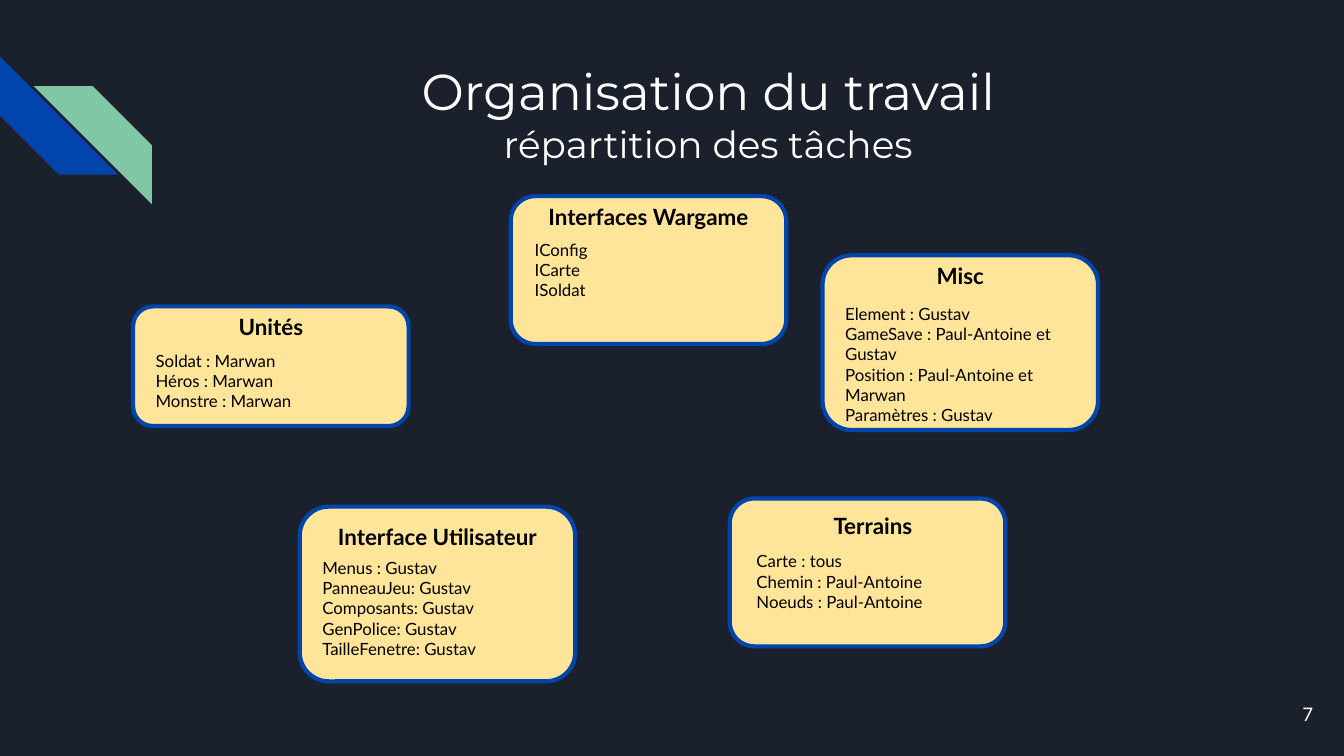
"""Build the slide that shares out the project's work in five cards."""
from dataclasses import dataclass

import pptx
import pptx.dml.color
import pptx.enum.shapes
import pptx.enum.text
import pptx.util

SHAPE = pptx.enum.shapes.MSO_SHAPE
ALIGN = pptx.enum.text.PP_ALIGN
ANCHOR = pptx.enum.text.MSO_ANCHOR


@dataclass(frozen=True)
class Theme:
    background: str = "1B212C"
    blue: str = "0145AC"
    green: str = "82C7A5"
    card: str = "FFE599"
    light: str = "FFFFFF"
    dark: str = "000000"
    title_font: str = "Montserrat"
    body_font: str = "Lato"
    title_size: float = 27
    subtitle_size: float = 20
    heading_size: float = 12
    list_size: float = 9
    number_size: float = 10
    outline: float = 2.25


@dataclass(frozen=True)
class Box:
    col: float
    row: float
    cols: float
    rows: float


@dataclass(frozen=True)
class Style:
    font: str
    size: float
    color: str
    bold: bool = False
    align: ALIGN = ALIGN.LEFT


@dataclass(frozen=True)
class Card:
    heading: str
    lines: tuple[str, ...]
    col: float
    row: float
    rows: float
    heading_drop: float = -0.5
    heading_shift: float = 0
    list_drop: float = 2.3
    list_indent: float = 0.7
    list_cols: float = 19.2


THEME = Theme()
WIDTH, HEIGHT = pptx.util.Inches(10), pptx.util.Inches(5.625)
COLUMNS = 100
CELL = WIDTH / COLUMNS
CARD_COLS, HEADING_COLS, HEADING_ROWS = 20.5, 24.5, 3
STRIPE = 8.8

TITLE = Style(THEME.title_font, THEME.title_size, THEME.light, align=ALIGN.CENTER)
SUBTITLE = Style(THEME.title_font, THEME.subtitle_size, THEME.light, align=ALIGN.CENTER)
HEADING = Style(THEME.body_font, THEME.heading_size, THEME.dark, True, ALIGN.CENTER)
LIST = Style(THEME.body_font, THEME.list_size, THEME.dark)
NUMBER = Style(THEME.body_font, THEME.number_size, THEME.light, align=ALIGN.RIGHT)

CARDS = (
    Card("Misc", ("Element : Gustav", "GameSave : Paul-Antoine et Gustav",
                  "Position : Paul-Antoine et Marwan", "Paramètres : Gustav"),
         61.2, 19, 13, list_drop=2.6, list_cols=20.5),
    Card("Interface Utilisateur",
         ("Menus : Gustav", "PanneauJeu: Gustav", "Composants: Gustav",
          "GenPolice: Gustav", "TailleFenetre: Gustav"),
         22.3, 37.7, 13, heading_drop=0.2, list_drop=2.8),
    Card("Terrains", ("Carte : tous", "Chemin : Paul-Antoine", "Noeuds : Paul-Antoine"),
         54.3, 37.1, 11, heading_drop=0, heading_shift=0.4, list_drop=2.9, list_indent=1),
    Card("Unités", ("Soldat : Marwan", "Héros : Marwan", "Monstre : Marwan"),
         9.9, 22.8, 8.9),
    Card("Interfaces Wargame", ("IConfig", "ICarte", "ISoldat"),
         38, 14.6, 11, list_drop=2.2, list_indent=0.8),
)


def rgb(value: str) -> pptx.dml.color.RGBColor:
    return pptx.dml.color.RGBColor.from_string(value)


def emu(box: Box) -> tuple[int, ...]:
    return tuple(round(n * CELL) for n in (box.col, box.row, box.cols, box.rows))


def write(tf, lines: list[tuple[str, Style]], anchor=ANCHOR.TOP) -> None:
    tf.word_wrap = True
    tf.auto_size = pptx.enum.text.MSO_AUTO_SIZE.NONE
    tf.vertical_anchor = anchor
    tf.margin_left = tf.margin_right = tf.margin_top = tf.margin_bottom = round(CELL)
    for i, (text, style) in enumerate(lines):
        p = tf.add_paragraph() if i else tf.paragraphs[0]
        p.alignment = style.align
        r = p.add_run()
        r.text = text
        r.font.name = style.font
        r.font.size = pptx.util.Pt(style.size)
        r.font.bold = style.bold
        r.font.color.rgb = rgb(style.color)


def add_text(s, box: Box, lines: list[tuple[str, Style]], anchor=ANCHOR.TOP) -> None:
    write(s.shapes.add_textbox(*emu(box)).text_frame, lines, anchor)


def add_filled(s, kind: SHAPE, box: Box, fill: str):
    sp = s.shapes.add_shape(kind, *emu(box))
    sp.shadow.inherit = False
    sp.fill.solid()
    sp.fill.fore_color.rgb = rgb(fill)
    sp.line.fill.background()
    return sp


def add_stripes(s) -> None:
    blue = add_filled(s, SHAPE.DIAGONAL_STRIPE, Box(0, 4.2, STRIPE, STRIPE), THEME.blue)
    blue.rotation = 270
    green = add_filled(s, SHAPE.DIAGONAL_STRIPE, Box(2.5, 6.4, STRIPE, STRIPE), THEME.green)
    green._element.spPr.xfrm.set("flipH", "1")


def add_title(s) -> None:
    sp = s.shapes.title
    sp.left, sp.top, sp.width, sp.height = emu(Box(14.2, 3.5, 77, 10))
    write(sp.text_frame, [("Organisation du travail", TITLE),
                          ("répartition des tâches", SUBTITLE)])


def add_card(s, card: Card) -> None:
    sp = add_filled(s, SHAPE.ROUNDED_RECTANGLE,
                    Box(card.col, card.row, CARD_COLS, card.rows), THEME.card)
    sp.line.color.rgb = rgb(THEME.blue)
    sp.line.width = pptx.util.Pt(THEME.outline)
    heading_col = card.col + (CARD_COLS - HEADING_COLS) / 2 + card.heading_shift
    add_text(s, Box(heading_col, card.row + card.heading_drop, HEADING_COLS, HEADING_ROWS),
             [(card.heading, HEADING)])
    add_text(s, Box(card.col + card.list_indent, card.row + card.list_drop,
                    card.list_cols, card.rows - card.list_drop),
             [(line, LIST) for line in card.lines])


def main() -> None:
    prs = pptx.Presentation()
    prs.slide_width, prs.slide_height = WIDTH, HEIGHT
    s = prs.slides.add_slide(prs.slide_layouts[5])
    s.background.fill.solid()
    s.background.fill.fore_color.rgb = rgb(THEME.background)
    add_stripes(s)
    add_title(s)
    for card in CARDS:
        add_card(s, card)
    add_text(s, Box(92.7, 51, 6, 4.3), [("7", NUMBER)], ANCHOR.MIDDLE)
    prs.save("out.pptx")


if __name__ == "__main__":
    main()
